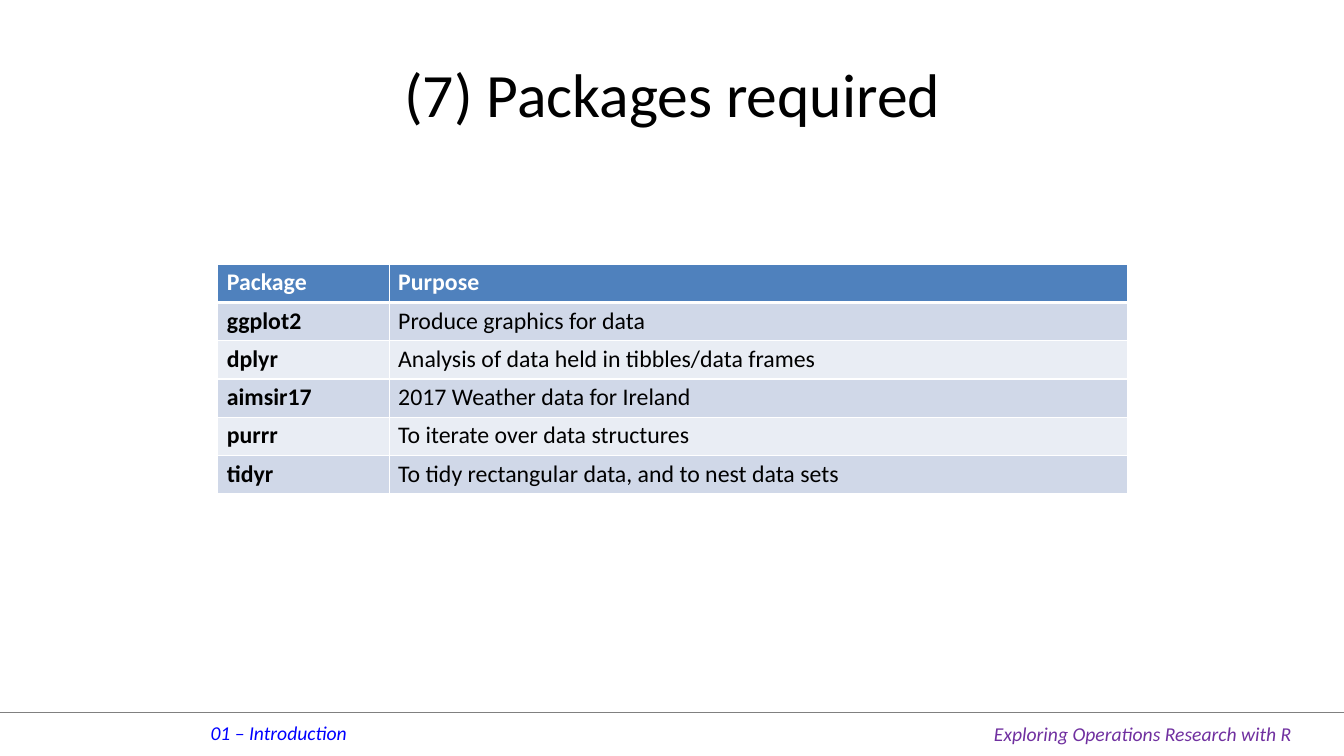
"""Build the slide listing the R packages required."""
from lxml import etree
from pptx import Presentation
from pptx.dml.color import RGBColor
from pptx.enum.shapes import MSO_CONNECTOR
from pptx.enum.text import MSO_ANCHOR, PP_ALIGN
from pptx.oxml.ns import qn
from pptx.util import Inches, Pt

TITLE = "(7) Packages required"
ROWS = [
    ("Package", "Purpose"),
    ("ggplot2", "Produce graphics for data"),
    ("dplyr", "Analysis of data held in tibbles/data frames"),
    ("aimsir17", "2017 Weather data for Ireland"),
    ("purrr", "To iterate over data structures"),
    ("tidyr", "To tidy rectangular data, and to nest data sets"),
]
FOOTERS = [
    ("01 – Introduction", "blue", (1.99, 7.1, 1.57, 0.34)),
    ("Exploring Operations Research with R", "purple", (9.76, 7.11, 3.18, 0.34)),
]
COLORS = {
    "black": "000000", "white": "FFFFFF", "blue": "0000FF", "purple": "7030A0",
    "rule": "808080", "header": "4F81BD", "odd": "D0D8E8", "even": "E9EDF4",
}
WIDTH, HEIGHT = 13.33, 7.5
COLUMNS = (1.7, 7.32)
ROW_HEIGHT = 0.38
TABLE_LEFT, TABLE_TOP = 2.16, 2.62
RULE_TOP = 7.07


def rgb(name):
    """Return the named colour."""
    return RGBColor.from_string(COLORS[name])


def write(tf, text, size=17, color="black", bold=False, italic=False, align=PP_ALIGN.LEFT):
    """Put one formatted run into a text frame."""
    p = tf.paragraphs[0]
    p.alignment = align
    r = p.add_run()
    r.text = text
    r.font.name = "Calibri"
    r.font.size = Pt(size)
    r.font.bold = bold
    r.font.italic = italic
    r.font.color.rgb = rgb(color)


def add_borders(cell, bottom):
    """Draw white cell borders with the given bottom width in points."""
    tc_pr = cell._tc.get_or_add_tcPr()
    for i, (side, width) in enumerate((("L", 1), ("R", 1), ("T", 1), ("B", bottom))):
        ln = etree.Element(qn(f"a:ln{side}"), w=str(Pt(width)))
        fill = etree.SubElement(ln, qn("a:solidFill"))
        etree.SubElement(fill, qn("a:srgbClr"), val=COLORS["white"])
        tc_pr.insert(i, ln)


def add_footer(s):
    """Add the bottom rule and the two footer labels."""
    rule = s.shapes.add_connector(
        MSO_CONNECTOR.STRAIGHT, 0, Inches(RULE_TOP), Inches(WIDTH), Inches(RULE_TOP))
    rule.line.color.rgb = rgb("rule")
    rule.line.width = Pt(0.25)
    etree.SubElement(rule._element.spPr, qn("a:effectLst"))
    for text, color, box in FOOTERS:
        sp = s.shapes.add_textbox(*map(Inches, box))
        sp.text_frame.word_wrap = False
        write(sp.text_frame, text, size=14, color=color, italic=True)


def add_title(s):
    """Place and fill the title placeholder."""
    sp = s.shapes.title
    sp.left, sp.top, sp.width, sp.height = map(Inches, (0.67, 0.3, 12, 1.25))
    sp.text_frame.vertical_anchor = MSO_ANCHOR.MIDDLE
    write(sp.text_frame, TITLE, size=44, align=PP_ALIGN.CENTER)


def add_packages(s):
    """Add the package table."""
    table = s.shapes.add_table(
        len(ROWS), len(COLUMNS), Inches(TABLE_LEFT), Inches(TABLE_TOP),
        Inches(sum(COLUMNS)), Inches(ROW_HEIGHT * len(ROWS))).table
    for column, width in zip(table.columns, COLUMNS):
        column.width = Inches(width)
    for i, row in enumerate(ROWS):
        table.rows[i].height = Inches(ROW_HEIGHT)
        header = i == 0
        fill = "header" if header else ("even", "odd")[i % 2]
        for j, text in enumerate(row):
            cell = table.cell(i, j)
            cell.margin_left = cell.margin_right = Inches(0.09)
            cell.margin_top = cell.margin_bottom = Inches(0.04)
            cell.fill.solid()
            cell.fill.fore_color.rgb = rgb(fill)
            add_borders(cell, bottom=3 if header else 1)
            write(cell.text_frame, text, color="white" if header else "black",
                  bold=header or j == 0)


def main():
    """Assemble and save the slide."""
    prs = Presentation()
    prs.slide_width, prs.slide_height = Inches(WIDTH), Inches(HEIGHT)
    s = prs.slides.add_slide(prs.slide_layouts[5])
    add_footer(s)
    add_title(s)
    add_packages(s)
    prs.save("out.pptx")


if __name__ == "__main__":
    main()
